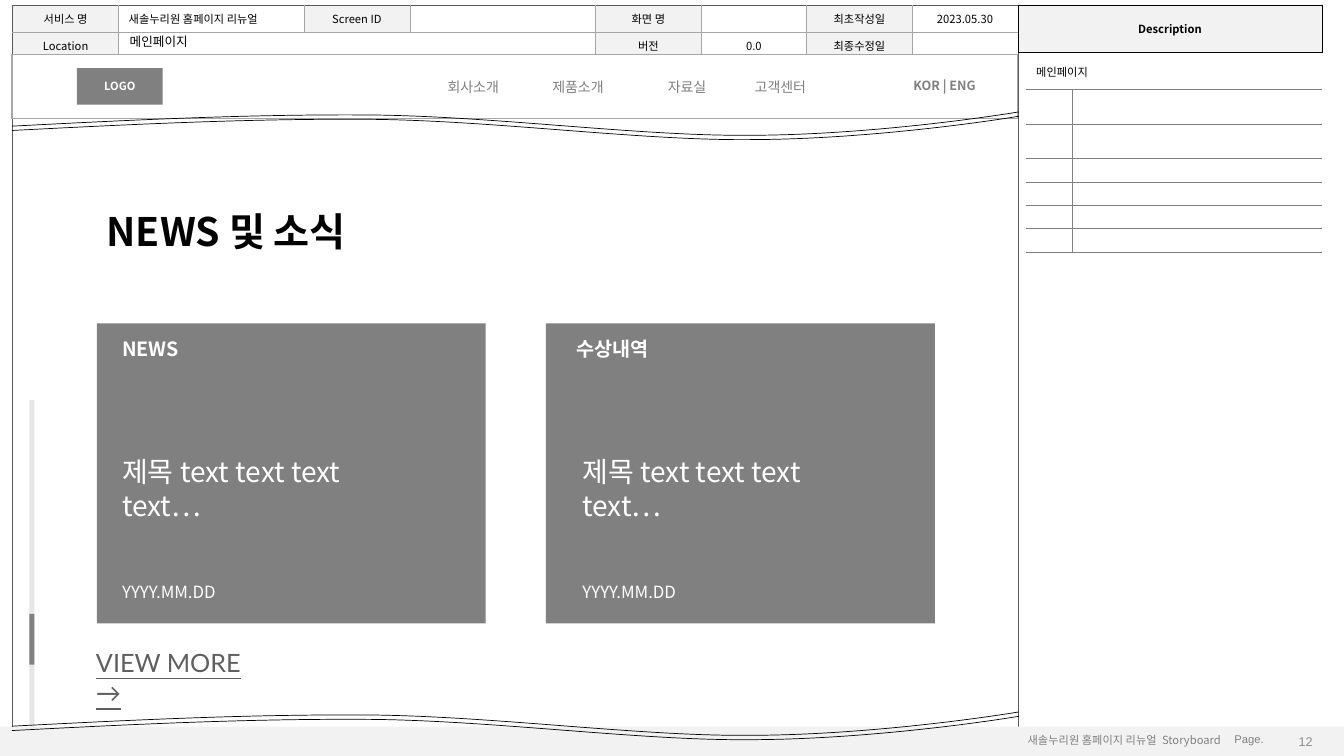
import pptx
import pptx.util
import pptx.dml.color
import pptx.enum.shapes
import pptx.enum.text
import pptx.oxml
import pptx.oxml.ns
from lxml import etree

Cm, Pt = pptx.util.Cm, pptx.util.Pt
qn = pptx.oxml.ns.qn
ALIGN = pptx.enum.text.PP_ALIGN
ANCHOR = pptx.enum.text.MSO_ANCHOR

COLORS = {
    "black": "000000", "white": "FFFFFF", "panel": "F2F2F2", "track": "E7E6E6",
    "grey": "808080", "frame": "595959", "grid": "A6A6A6",
    "number": "8C8C8C", "link": "5F5F5F",
}
FONT = "Noto Sans CJK KR"
SERVICE = "새솔누리원 홈페이지 리뉴얼"


def rgb(name):
    return pptx.dml.color.RGBColor.from_string(COLORS[name])


def style(p, size, color="black", bold=False, name=FONT, align=ALIGN.LEFT, underline=False):
    p.alignment = align
    f = p.font
    f.size, f.bold = Pt(size), bold
    f.color.rgb = rgb(color)
    f.name = name
    if underline:
        f.underline = True
    etree.SubElement(f._element, qn("a:ea"), typeface=name)
    if not p.runs:
        etree.SubElement(p._p, qn("a:endParaRPr"), sz=str(size * 100))


def add_text(s, text, box, size, color="black", wrap=False, anchor=ANCHOR.TOP, **look):
    tf = s.shapes.add_textbox(*map(Cm, box)).text_frame
    tf.word_wrap = wrap
    tf.vertical_anchor = anchor
    tf.text = text
    style(tf.paragraphs[0], size, color, **look)


def add_rect(s, box, fill, line=None):
    sp = s.shapes.add_shape(pptx.enum.shapes.MSO_SHAPE.RECTANGLE, *map(Cm, box))
    sp.shadow.inherit = False
    sp.fill.solid()
    sp.fill.fore_color.rgb = rgb(fill)
    if line:
        sp.line.color.rgb = rgb(line)
        sp.line.width = Pt(1)
    else:
        sp.line.fill.background()
    return sp


def add_grid(s, left, top, cols, rows):
    """Add a table without banding, with the given column widths and row heights."""
    table = s.shapes.add_table(len(rows), len(cols), Cm(left), Cm(top),
                               Cm(sum(cols)), Cm(sum(rows))).table
    table.first_row = table.horz_banding = False
    for col, width in zip(table.columns, cols):
        col.width = Cm(width)
    for row, height in zip(table.rows, rows):
        row.height = Cm(height)
    return table


def fill_cell(cell, text, borders, width=0.5, fill=None, bold=False, align=ALIGN.CENTER):
    """Write a cell; borders maps the sides L, R, T, B to colour names."""
    tcPr = cell._tc.get_or_add_tcPr()
    for side in "LRTB":
        ln = etree.SubElement(tcPr, qn("a:ln" + side), w=str(Pt(width)))
        if side in borders:
            solid = etree.SubElement(ln, qn("a:solidFill"))
            etree.SubElement(solid, qn("a:srgbClr"), val=COLORS[borders[side]])
        else:
            etree.SubElement(ln, qn("a:noFill"))
    if fill:
        cell.fill.solid()
        cell.fill.fore_color.rgb = rgb(fill)
    else:
        cell.fill.background()
    cell.vertical_anchor = ANCHOR.MIDDLE
    if text:
        cell.text = text
    else:
        cell.margin_top = cell.margin_bottom = 0
    style(cell.text_frame.paragraphs[0], 8, bold=bold, align=align)


def add_info_table(s):
    rows = [
        ["서비스 명", SERVICE, "Screen ID", "", "화면 명", "", "최초작성일", "2023.05.30"],
        ["Location", "", "", "", "버전", "0.0", "최종수정일", ""],
        [""] * 8,
    ]
    labels = {"서비스 명", "Screen ID", "화면 명", "최초작성일", "Location", "버전", "최종수정일"}
    table = add_grid(s, 0.32, 0.14, [2.67, 4.67, 2.67, 4.68] + [2.66] * 4, [0.62, 0.62, 16.94])
    for i, row in enumerate(rows):
        for j, text in enumerate(row):
            borders = {
                "L": "frame" if j == 0 else "grid",
                "R": "frame" if j == 7 or i == 2 else "grid",
                "T": "grid" if i == 1 else "frame",
                "B": "grid" if i == 0 else "frame",
            }
            fill_cell(table.cell(i, j), text, borders,
                      fill="panel" if text in labels else "white",
                      align=ALIGN.LEFT if text == SERVICE else ALIGN.CENTER)
    table.cell(1, 1).merge(table.cell(1, 3))
    table.cell(2, 0).merge(table.cell(2, 7))


def add_description(s):
    head = add_grid(s, 25.65, 0.13, [7.67], [1.19])
    fill_cell(head.cell(0, 0), "Description", dict.fromkeys("LRTB", "black"),
              fill="panel", bold=True)

    heights = [0.89, 0.87, 0.87] + [0.59] * 4
    notes = add_grid(s, 25.86, 1.36, [1.17, 6.28], heights)
    for i in range(len(heights)):
        for j, sides in enumerate(("TRB", "LTB")):
            fill_cell(notes.cell(i, j), "메인페이지" if i == j == 0 else "",
                      dict.fromkeys(sides if i else "B", "grey"), width=0.25,
                      fill=None if i else "white", align=ALIGN.LEFT)
    notes.cell(0, 0).merge(notes.cell(0, 1))


def add_footer(s):
    add_rect(s, (0, 18.31, 33.87, 0.74), "panel")
    add_text(s, "Page.", (30.86, 18.34, 1.5, 0.61), 8, "grey", wrap=True, name="Arial")
    add_text(s, SERVICE + "  Storyboard", (25.65, 18.36, 5.77, 0.61), 8, "grey")
    add_text(s, "12", (31.83, 18.33, 1.5, 0.69), 9, "number", wrap=True,
             anchor=ANCHOR.MIDDLE, name="Arial", align=ALIGN.RIGHT)


def add_site_header(s):
    add_rect(s, (0.3, 1.37, 25.35, 1.62), "white", "grid")
    logo = add_rect(s, (1.94, 1.72, 2.16, 0.92), "grey")
    logo.text_frame.text = "LOGO"
    logo.text_frame.vertical_anchor = ANCHOR.MIDDLE
    style(logo.text_frame.paragraphs[0], 8, "white", bold=True, align=ALIGN.CENTER)
    for text, left, width in [("회사소개", 11.03, 1.93), ("제품소개", 13.67, 1.93),
                              ("자료실", 16.58, 1.57), ("고객센터", 18.77, 1.93)]:
        add_text(s, text, (left, 1.85, width, 0.69), 10, "grey")
    add_text(s, "KOR | ENG", (22.77, 1.85, 2.16, 0.64), 9, "grey", bold=True)


def add_wave(s, top):
    """Draw a page-break wave of three joined Bézier curves."""
    knots = [(0.3, 0.36), (3.38, 0.2), (6.43, 0.05), (9.53, 0.08), (12.62, 0.13),
             (16.15, 0.61), (18.85, 0.59), (21.54, 0.59), (24.46, 0.2), (25.68, 0)]
    points = [(Cm(x), Cm(top + y)) for x, y in knots]
    builder = s.shapes.build_freeform(*points[0])
    builder.add_line_segments(points[1:], close=False)
    sp = builder.convert_to_shape()
    lines = list(sp._element.iter(qn("a:lnTo")))
    outline = lines[0].getparent()
    for k in range(0, len(lines), 3):
        curve = etree.SubElement(outline, qn("a:cubicBezTo"))
        for line in lines[k:k + 3]:
            curve.append(line[0])
            outline.remove(line)
    sp.shadow.inherit = False
    sp.fill.background()
    sp.line.color.rgb = rgb("black")
    sp.line.width = Pt(0.5)


def add_card(s, left, heading, heading_left, body_left):
    add_rect(s, (left, 8.15, 9.8, 7.56), "grey")
    add_text(s, heading, (heading_left, 8.36, 2.51, 0.86), 14, "white", bold=True)
    add_text(s, "제목 text text text text…", (body_left, 11.33, 7.8, 1.12), 20, "white", wrap=True)
    add_text(s, "YYYY.MM.DD", (body_left, 14.53, 3.02, 0.76), 12, "white")


def main():
    prs = pptx.Presentation()
    prs.slide_width, prs.slide_height = Cm(33.87), Cm(19.05)
    s = prs.slides.add_slide(prs.slide_layouts[6])

    add_info_table(s)
    add_footer(s)
    add_description(s)
    add_text(s, "메인페이지", (3.02, 0.74, 2.11, 0.64), 9)
    add_site_header(s)
    add_rect(s, (0.74, 10.08, 0.13, 8.23), "track")
    add_rect(s, (0.74, 15.47, 0.13, 1.28), "grey")
    for top in (2.82, 17.94):
        for offset in (0, 0.11):
            add_wave(s, top + offset)

    add_text(s, "NEWS 및 소식", (2.44, 5.11, 7.14, 1.45), 28, bold=True)
    add_card(s, 2.44, "NEWS", 2.83, 2.83)
    add_card(s, 13.76, "수상내역", 14.27, 14.43)
    add_text(s, "VIEW MORE →", (2.17, 16.18, 4.67, 1.02), 18, "link", wrap=True,
             name="Lato", underline=True)
    prs.save("out.pptx")


if __name__ == "__main__":
    main()
